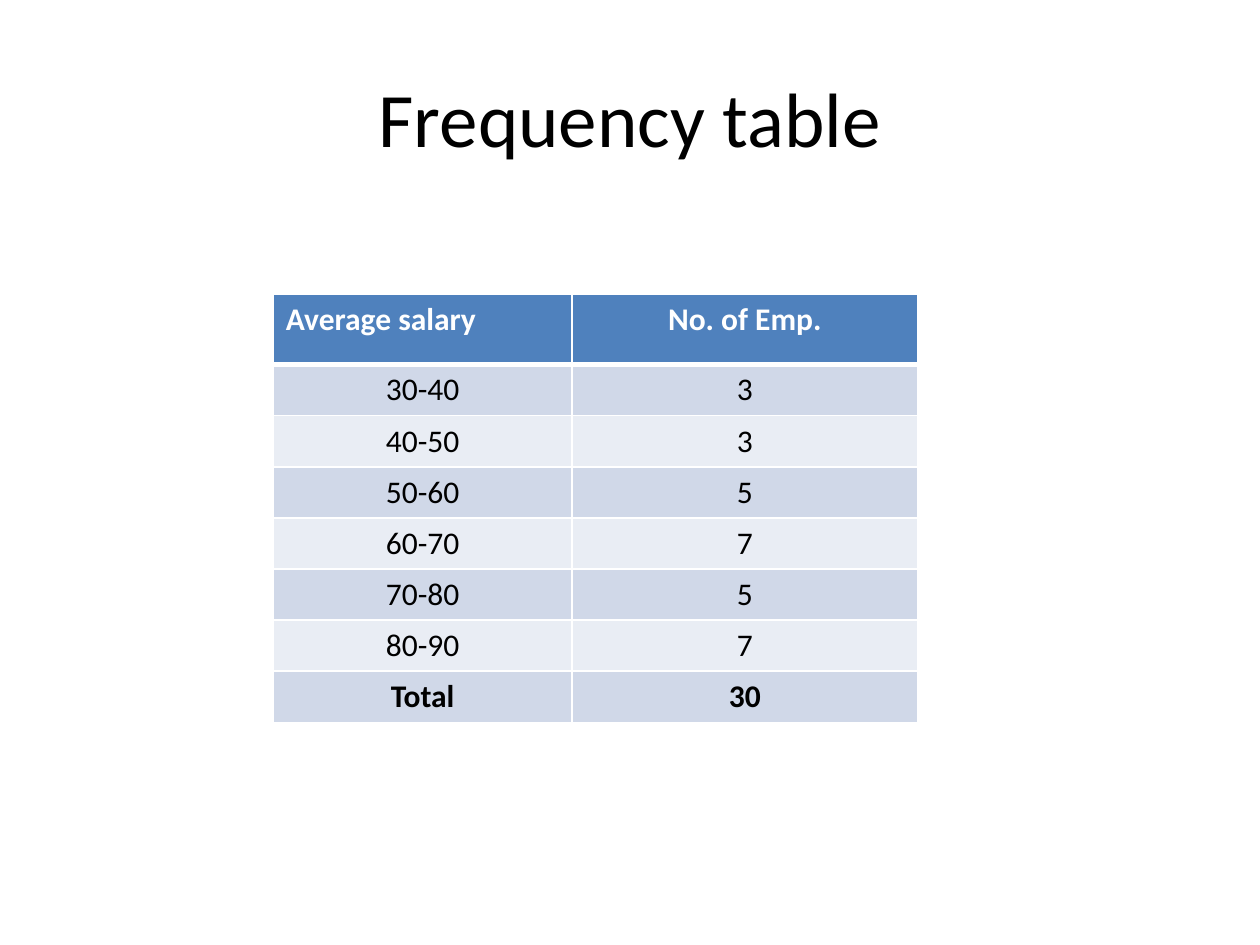
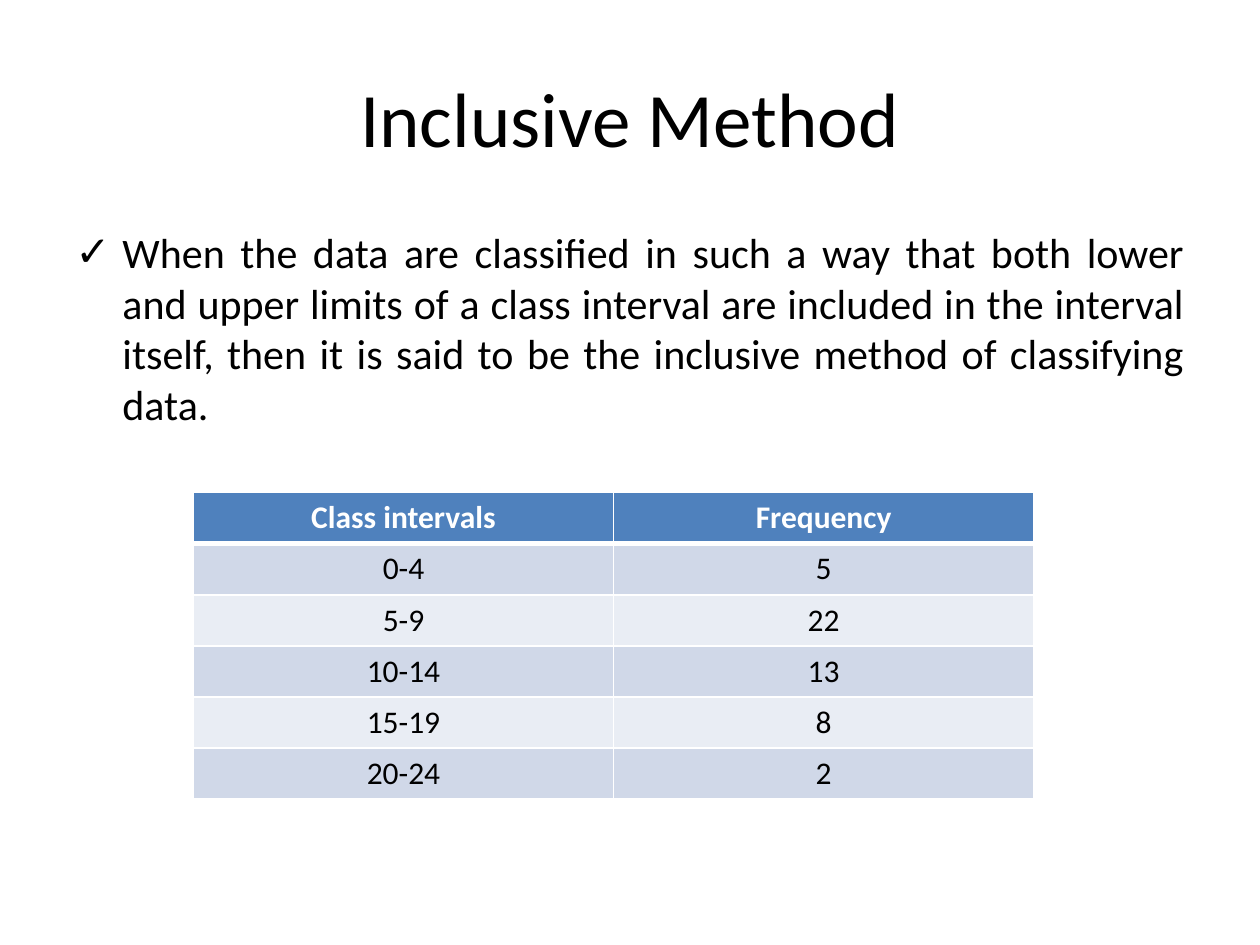
"""Builds two slides on frequency tables and the inclusive method of classification."""
from lxml import etree
from pptx import Presentation
from pptx.dml import color
from pptx.enum import text
from pptx.oxml import ns
from pptx.util import Cm, Pt

COLOURS = {"ink": "000000", "paper": "FFFFFF", "header": "4F81BD",
           "odd": "D0D8E8", "even": "E9EDF4"}
FONT = "Calibri"
ALIGN = text.PP_ALIGN


def rgb(name):
    return color.RGBColor.from_string(COLOURS[name])


def write(frame, words, size=18, colour="ink", bold=False, align=ALIGN.CENTER):
    paragraph = frame.paragraphs[0]
    paragraph.alignment = align
    run = paragraph.add_run()
    run.text = words
    run.font.name = FONT
    run.font.size = Pt(size)
    run.font.bold = bold
    run.font.color.rgb = rgb(colour)
    return paragraph


class Deck:
    def __init__(self):
        self.presentation = Presentation()
        self.presentation.slide_width = Cm(25.4)
        self.presentation.slide_height = Cm(19.05)
        self.slide = None

    def start(self, heading):
        self.slide = self.presentation.slides.add_slide(self.presentation.slide_layouts[6])
        frame = self.frame(0.76, 3.18)
        frame.vertical_anchor = text.MSO_ANCHOR.MIDDLE
        write(frame, heading, size=44)

    def frame(self, top, height):
        frame = self.slide.shapes.add_textbox(Cm(1.27), Cm(top), Cm(22.86), Cm(height)).text_frame
        frame.word_wrap = True
        return frame

    def definition(self, words):
        paragraph = write(self.frame(4.45, 12.57), words, size=24, align=ALIGN.JUSTIFY)
        properties = paragraph._p.get_or_add_pPr()
        properties.set("marL", str(Cm(0.95)))
        properties.set("indent", str(-Cm(0.95)))
        etree.SubElement(properties, ns.qn("a:buFont"), typeface=FONT)
        etree.SubElement(properties, ns.qn("a:buChar"), char="✓")

    def table(self, rows, left, top, widths, header_height=1.03, row_height=1.03,
              first_align=ALIGN.CENTER, total=False):
        heights = [header_height] + [row_height] * (len(rows) - 1)
        grid = self.slide.shapes.add_table(len(rows), len(widths), Cm(left), Cm(top),
                                           Cm(sum(widths)), Cm(sum(heights))).table
        for column, width in zip(grid.columns, widths):
            column.width = Cm(width)
        for r, (values, height) in enumerate(zip(rows, heights)):
            grid.rows[r].height = Cm(height)
            header = r == 0
            band = "header" if header else "odd" if r % 2 else "even"
            for c, value in enumerate(values):
                cell = grid.cell(r, c)
                cell.fill.solid()
                cell.fill.fore_color.rgb = rgb(band)
                self.borders(cell, top=3 if r == 1 else 1, bottom=3 if header else 1)
                write(cell.text_frame, value, colour="paper" if header else "ink",
                      bold=header or (total and r == len(rows) - 1),
                      align=first_align if header and c == 0 else ALIGN.CENTER)

    def borders(self, cell, top, bottom):
        properties = cell._tc.get_or_add_tcPr()
        for place, (side, width) in enumerate(zip("LRTB", (1, 1, top, bottom))):
            line = etree.Element(ns.qn(f"a:ln{side}"), w=str(Pt(width)))
            fill = etree.SubElement(line, ns.qn("a:solidFill"))
            etree.SubElement(fill, ns.qn("a:srgbClr"), val=COLOURS["paper"])
            properties.insert(place, line)


def main():
    deck = Deck()

    deck.start("Frequency table")
    salaries = [("Average salary", "No. of Emp."), ("30-40", "3"), ("40-50", "3"),
                ("50-60", "5"), ("60-70", "7"), ("70-80", "5"), ("80-90", "7"),
                ("Total", "30")]
    deck.table(salaries, left=5.51, top=5.93, widths=(6.02, 6.97), header_height=1.42,
               first_align=ALIGN.LEFT, total=True)

    deck.start("Inclusive Method")
    deck.definition("When the data are classified in such a way that both lower and upper "
                    "limits of a class interval are included in the interval itself, then it "
                    "is said to be the inclusive method of classifying data.")
    intervals = [("Class intervals", "Frequency"), ("0-4", "5"), ("5-9", "22"),
                 ("10-14", "13"), ("15-19", "8"), ("20-24", "2")]
    deck.table(intervals, left=3.9, top=9.93, widths=(8.47, 8.47))

    deck.presentation.save("out.pptx")


if __name__ == "__main__":
    main()
